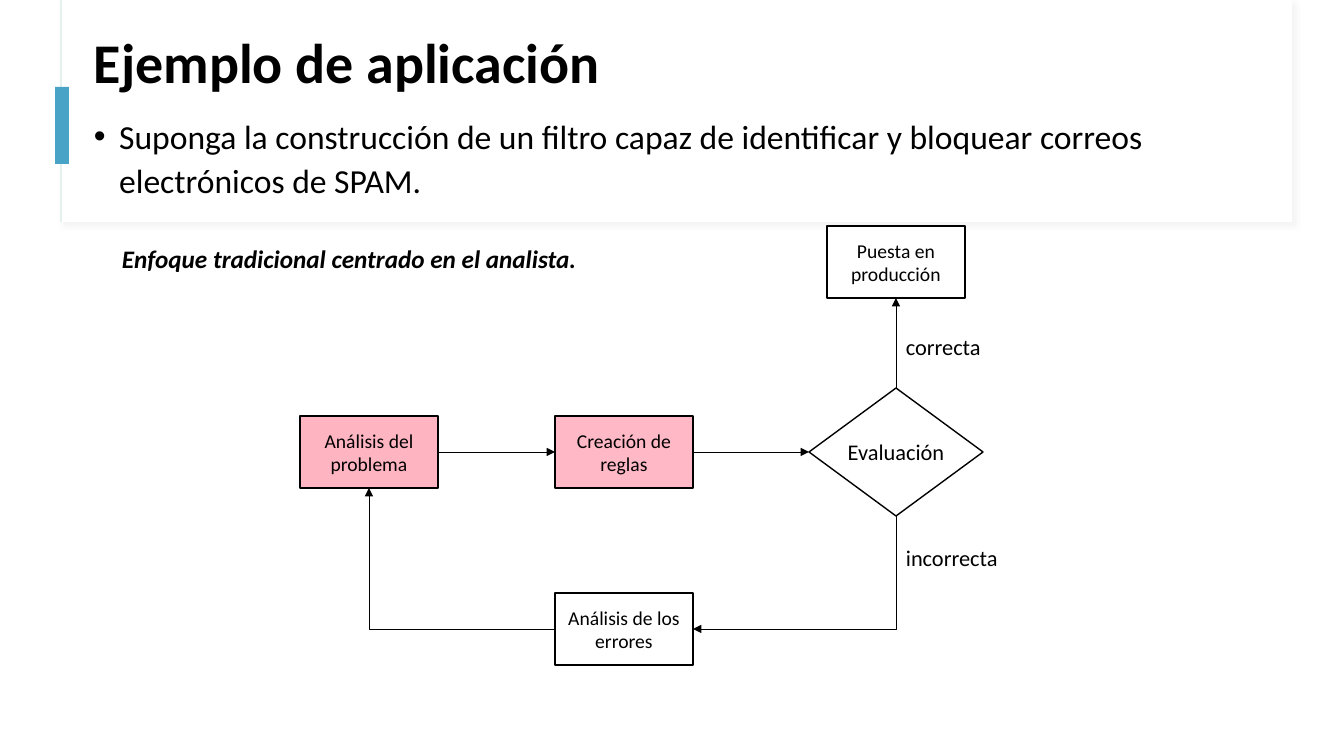
"""Build the slide on the analyst-centred approach to a SPAM filter."""
from lxml.etree import SubElement
from pptx import Presentation
from pptx.dml.color import RGBColor
from pptx.enum.shapes import MSO_CONNECTOR, MSO_SHAPE
from pptx.enum.text import MSO_ANCHOR, PP_ALIGN
from pptx.oxml.ns import qn
from pptx.util import Pt

PX = 914400 / 100.8
BLACK = RGBColor(0x00, 0x00, 0x00)
WHITE = RGBColor(0xFF, 0xFF, 0xFF)
PINK = RGBColor(0xFF, 0x6A, 0x85)
BLUE = RGBColor(0x49, 0xA3, 0xC7)
PALE = RGBColor(0xE4, 0xF0, 0xEE)


def add_text(sp, text, size, bold=False, italic=False, align=PP_ALIGN.LEFT,
             anchor=MSO_ANCHOR.TOP, wrap=True, spacing=1.0, bullet=None):
    tf = sp.text_frame
    tf.word_wrap = wrap
    tf.vertical_anchor = anchor
    p = tf.paragraphs[0]
    p.alignment = align
    p.line_spacing = spacing
    if bullet:
        pPr = p._p.get_or_add_pPr()
        pPr.set("marL", "228600")
        pPr.set("indent", "-228600")
        SubElement(pPr, qn("a:buFont"), typeface="Arial")
        SubElement(pPr, qn("a:buChar"), char=bullet)
    r = p.add_run()
    r.text = text
    r.font.name = "Calibri"
    r.font.size = Pt(size)
    r.font.bold = bold
    r.font.italic = italic
    r.font.color.rgb = BLACK


def add_box(box, fill, line=None, width=1, kind=MSO_SHAPE.RECTANGLE, alpha=100):
    sp = s.shapes.add_shape(kind, *[round(v * PX) for v in box])
    sp.shadow.inherit = False
    sp.fill.solid()
    sp.fill.fore_color.rgb = fill
    if alpha < 100:
        color = sp._element.spPr.find(qn("a:solidFill"))[0]
        SubElement(color, qn("a:alpha"), val=str(alpha * 1000))
    if line is None:
        sp.line.fill.background()
    else:
        sp.line.color.rgb = line
        sp.line.width = Pt(width)
    return sp


prs = Presentation()
prs.slide_width = round(1344 * PX)
prs.slide_height = round(756 * PX)
s = prs.slides.add_slide(prs.slide_layouts[6])

panel = add_box((61, 0, 1231, 222), WHITE, PALE, 0.75)
shadow = SubElement(panel._element.spPr.find(qn("a:effectLst")), qn("a:outerShdw"),
                    blurRad=str(Pt(4)), dist=str(Pt(3)), dir="2700000", rotWithShape="0")
shade = SubElement(shadow, qn("a:srgbClr"), val="D9D9D9")
SubElement(shade, qn("a:alpha"), val="30000")
add_box((62, 0, 1230, 222), WHITE)
add_box((55, 87, 14, 77), BLUE)

texts = [
    ((84, 25, 1121, 81), "Ejemplo de aplicación",
     dict(size=40, bold=True, anchor=MSO_ANCHOR.MIDDLE, spacing=0.9)),
    ((84, 107, 1121, 120),
     "Suponga la construcción de un filtro capaz de identificar y bloquear "
     "correos electrónicos de SPAM.", dict(size=24, spacing=1.1, bullet="•")),
    ((112, 238, 545, 40), "Enfoque tradicional centrado en el analista.",
     dict(size=18, bold=True, italic=True)),
    ((896, 328, 147, 37), "correcta", dict(size=16)),
    ((896, 539, 147, 37), "incorrecta", dict(size=16)),
]
for box, text, style in texts:
    add_text(s.shapes.add_textbox(*[round(v * PX) for v in box]), text, **style)

steps = [
    ("Análisis del problema", 300, 416, PINK, 50),
    ("Creación de reglas", 555, 416, PINK, 47),
    ("Análisis de los errores", 555, 593, WHITE, 100),
    ("Puesta en producción", 827, 226, WHITE, 100),
]
nodes = []
for text, x, y, fill, alpha in steps:
    sp = add_box((x, y, 138, 72), fill, BLACK, alpha=alpha)
    add_text(sp, text, 14, align=PP_ALIGN.CENTER, anchor=MSO_ANCHOR.MIDDLE)
    nodes.append(sp)
problem, rules, errors, production = nodes
evaluation = add_box((809, 388, 174, 128), WHITE, BLACK, kind=MSO_SHAPE.DIAMOND)
add_text(evaluation, "Evaluación", 16, align=PP_ALIGN.CENTER,
         anchor=MSO_ANCHOR.MIDDLE, wrap=False)

arrows = []
for start, start_side, end, end_side in [(problem, 3, rules, 1),
                                         (rules, 3, evaluation, 1),
                                         (evaluation, 0, production, 2)]:
    cx = s.shapes.add_connector(MSO_CONNECTOR.STRAIGHT, 0, 0, 0, 0)
    cx.begin_connect(start, start_side)
    cx.end_connect(end, end_side)
    arrows.append(cx)

for x, y, w, h, degrees in [(738, 471, 113, 203, 90), (369, 488, 186, 141, 180)]:
    cx = s.shapes.add_connector(MSO_CONNECTOR.ELBOW,
                                *[round(v * PX) for v in (x, y, x + w, y + h)])
    spPr = cx._element.spPr
    spPr.find(qn("a:xfrm")).set("rot", str(degrees * 60000))
    spPr.find(qn("a:prstGeom")).set("prst", "bentConnector2")
    arrows.append(cx)

for cx in arrows:
    cx.line.color.rgb = BLACK
    cx.line.width = Pt(0.5)
    SubElement(cx.line._get_or_add_ln(), qn("a:tailEnd"), type="triangle")
    SubElement(cx._element.spPr, qn("a:effectLst"))

prs.save("out.pptx")
